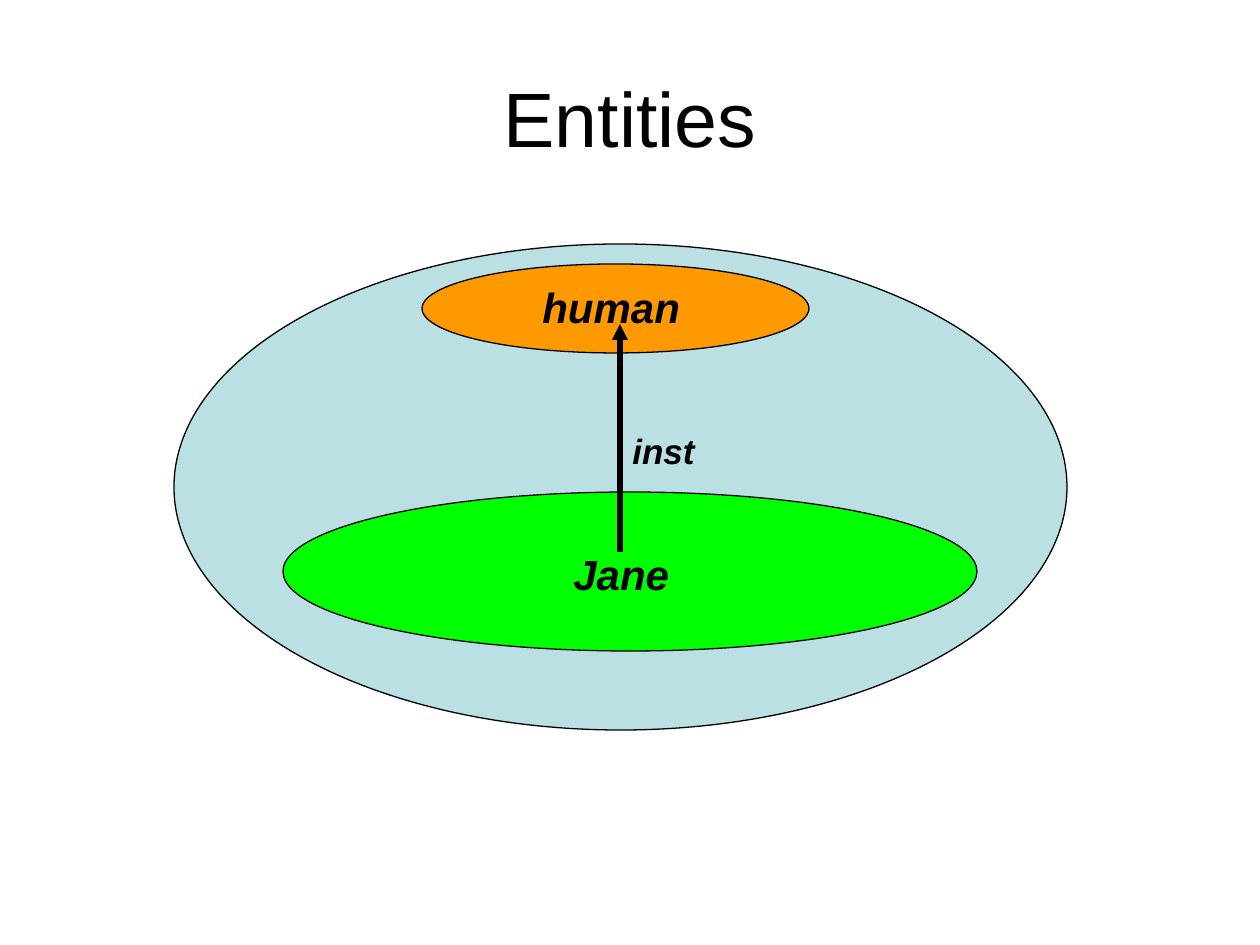
"""Build the Entities slide: an instance arrow from Jane to human."""
from lxml import etree
from pptx import Presentation
from pptx.dml.color import RGBColor
from pptx.enum.shapes import MSO_CONNECTOR, MSO_SHAPE
from pptx.enum.text import MSO_ANCHOR, PP_ALIGN
from pptx.oxml.ns import qn
from pptx.util import Pt

OVAL = MSO_SHAPE.OVAL
STRAIGHT = MSO_CONNECTOR.STRAIGHT
LEFT, CENTER = PP_ALIGN.LEFT, PP_ALIGN.CENTER
TOP, MIDDLE = MSO_ANCHOR.TOP, MSO_ANCHOR.MIDDLE

BLACK = RGBColor(0x00, 0x00, 0x00)
BLUE = RGBColor(0xBB, 0xE0, 0xE3)
ORANGE = RGBColor(0xFF, 0x99, 0x00)
GREEN = RGBColor(0x00, 0xFF, 0x00)

SIZE = (1260, 945)
TITLE = ("Entities", (63, 38, 1134, 158), 44)
OVALS = [
    ((174, 244, 893, 486), BLUE),
    ((422, 264, 387, 89), ORANGE),
    ((283, 492, 694, 159), GREEN),
]
LABELS = [
    ("human", (530, 275, 179, 63), 24),
    ("Jane", (561, 542, 139, 63), 24),
    ("inst", (620, 423, 100, 55), 20),
]
ARROW = (620, 552, 620, 324)


def emu(lengths):
    return [round(n * 914400 / 126) for n in lengths]


def add_oval(slide, box, color):
    oval = slide.shapes.add_shape(OVAL, *emu(box))
    oval.shadow.inherit = False
    oval.fill.solid()
    oval.fill.fore_color.rgb = color
    oval.line.color.rgb = BLACK
    oval.line.width = Pt(0.75)


def add_text(slide, text, box, size, align=LEFT, anchor=TOP, strong=True):
    frame = slide.shapes.add_textbox(*emu(box)).text_frame
    frame.word_wrap = True
    frame.vertical_anchor = anchor
    para = frame.paragraphs[0]
    para.text = text
    para.alignment = align
    font = para.font
    font.name = "Arial"
    font.size = Pt(size)
    font.bold = font.italic = strong
    font.color.rgb = BLACK


def add_arrow(slide, ends):
    arrow = slide.shapes.add_connector(STRAIGHT, *emu(ends))
    arrow.line.color.rgb = BLACK
    arrow.line.width = Pt(3)
    etree.SubElement(arrow.line._get_or_add_ln(), qn("a:tailEnd"), type="triangle")
    etree.SubElement(arrow._element.spPr, qn("a:effectLst"))


def main():
    deck = Presentation()
    deck.slide_width, deck.slide_height = emu(SIZE)
    slide = deck.slides.add_slide(deck.slide_layouts[6])
    add_text(slide, *TITLE, CENTER, MIDDLE, False)
    for box, color in OVALS:
        add_oval(slide, box, color)
    for label in LABELS:
        add_text(slide, *label)
    add_arrow(slide, ARROW)
    deck.save("out.pptx")


if __name__ == "__main__":
    main()
